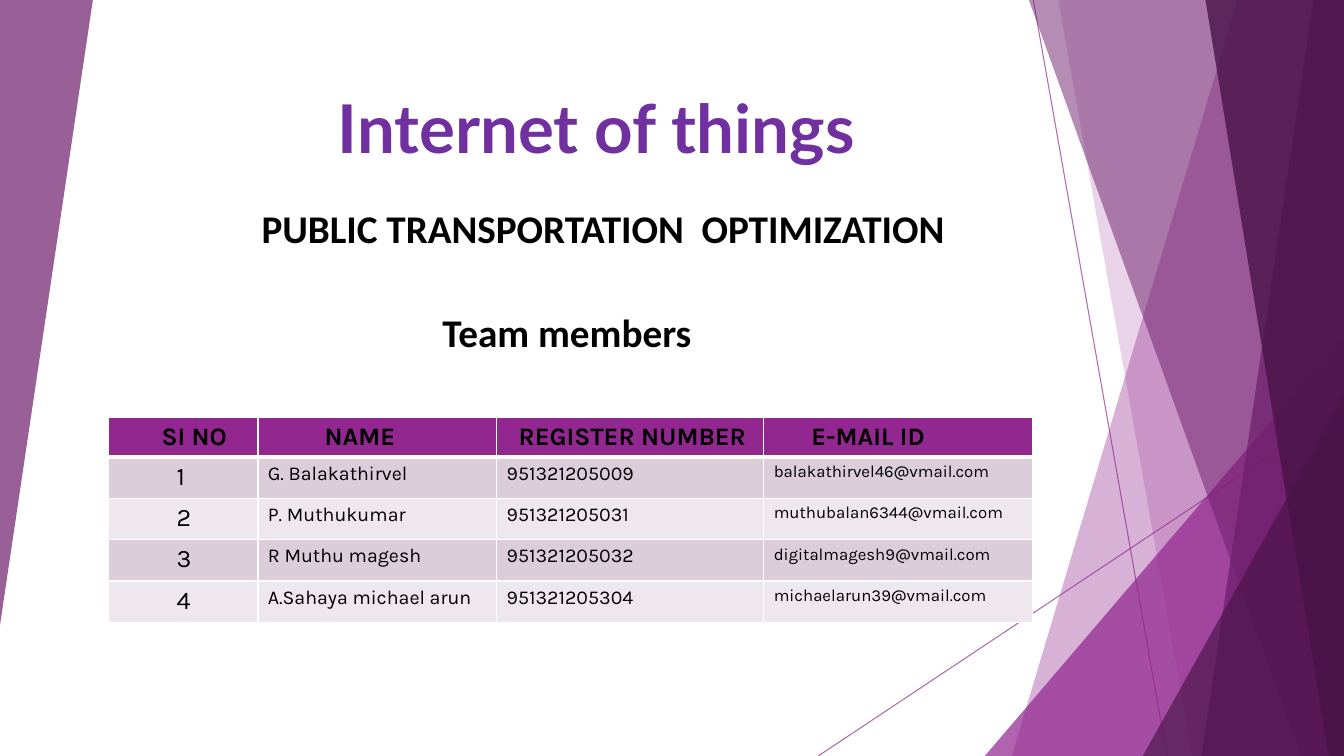
from dataclasses import dataclass

from lxml import etree
from pptx import Presentation
from pptx.dml.color import RGBColor
from pptx.enum.shapes import MSO_CONNECTOR, MSO_SHAPE
from pptx.enum.text import MSO_ANCHOR, MSO_AUTO_SIZE, PP_ALIGN
from pptx.oxml.ns import qn
from pptx.slide import Slide
from pptx.text.text import TextFrame
from pptx.util import Cm, Pt

STRAIGHT = MSO_CONNECTOR.STRAIGHT
TRIANGLE = MSO_SHAPE.ISOSCELES_TRIANGLE
LEFT, RIGHT = PP_ALIGN.LEFT, PP_ALIGN.RIGHT
TOP, BOTTOM = MSO_ANCHOR.TOP, MSO_ANCHOR.BOTTOM
NO_AUTOFIT = MSO_AUTO_SIZE.NONE

PURPLE = RGBColor(0x92, 0x27, 0x8F)
PLUM = RGBColor(0x6D, 0x1D, 0x6B)
DARK_PLUM = RGBColor(0x49, 0x14, 0x47)
VIOLET = RGBColor(0x70, 0x30, 0xA0)
BLACK = RGBColor(0, 0, 0)
ROW_FILLS = (RGBColor(0xDC, 0xCD, 0xDB), RGBColor(0xEE, 0xE8, 0xEE))

WIDTH, HEIGHT = 33.87, 19.05


@dataclass(frozen=True)
class Ray:
    x1: float
    y1: float
    x2: float
    y2: float


@dataclass(frozen=True)
class Strip:
    top_x: float
    bottom_x: float
    color: RGBColor
    opacity: int


@dataclass(frozen=True)
class Corner:
    left: float
    top: float
    width: float
    height: float
    color: RGBColor
    opacity: int
    rotation: int = 0


@dataclass(frozen=True)
class Column:
    heading: str
    width: float
    heading_indent: float
    entry_indent: float
    entry_size: int


RAYS = (Ray(26.04, 0, 29.41, HEIGHT), Ray(WIDTH, 10.24, 20.62, HEIGHT))
FACETS = (
    Strip(31.19, 25.5, PURPLE, 36),
    Strip(26.67, 30.05, PURPLE, 20),
    Corner(24.82, 8.46, 9.05, 10.59, PURPLE, 72),
    Strip(25.93, 32.79, PLUM, 50),
    Strip(33.1, 30.28, PLUM, 70),
    Strip(30.38, 33.48, DARK_PLUM, 80),
    Corner(28.8, 9.98, 5.07, 9.07, DARK_PLUM, 66),
    Corner(0, 0, 2.34, 15.75, PLUM, 70, rotation=180),
)
COLUMNS = (
    Column("SI NO", 3.78, 1.35, 1.73, 18),
    Column("NAME", 6.02, 1.68, 0.25, 14),
    Column("REGISTER NUMBER", 6.73, 0.55, 0.25, 14),
    Column("E-MAIL ID", 6.78, 1.2, 0.25, 12),
)
MEMBERS = (
    ("1", "G. Balakathirvel", "951321205009", "balakathirvel46@vmail.com"),
    ("2", "P. Muthukumar", "951321205031", "muthubalan6344@vmail.com"),
    ("3", "R Muthu magesh", "951321205032", "digitalmagesh9@vmail.com"),
    ("4", "A.Sahaya michael arun", "951321205304", "michaelarun39@vmail.com"),
)


def write(frame: TextFrame, text: str, *, font: str = "Karla", size: int = 18,
          color: RGBColor = BLACK, bold: bool = False,
          align: PP_ALIGN = LEFT, space_before: int = 0) -> None:
    paragraph = frame.paragraphs[0]
    paragraph.alignment = align
    paragraph.space_before = Pt(space_before)
    run = paragraph.add_run()
    run.text = text
    run.font.name = font
    run.font.size = Pt(size)
    run.font.color.rgb = color
    run.font.bold = bold


def place(shape, left: float, top: float, width: float, height: float) -> None:
    shape.left, shape.top = Cm(left), Cm(top)
    shape.width, shape.height = Cm(width), Cm(height)


def set_opacity(shape, percent: int) -> None:
    color = shape._element.spPr.find(".//" + qn("a:srgbClr"))
    etree.SubElement(color, qn("a:alpha"), val=str(percent * 1000))


def draw_ray(slide: Slide, ray: Ray) -> None:
    line = slide.shapes.add_connector(
        STRAIGHT, Cm(ray.x1), Cm(ray.y1), Cm(ray.x2), Cm(ray.y2))
    line.line.color.rgb = PURPLE
    line.line.width = Pt(0.75)
    set_opacity(line, 70)
    etree.SubElement(line._element.spPr, qn("a:effectLst"))


def draw_facet(slide: Slide, facet: Strip | Corner) -> None:
    if isinstance(facet, Strip):
        outline = slide.shapes.build_freeform(Cm(facet.top_x), 0)
        outline.add_line_segments([
            (Cm(WIDTH), 0), (Cm(WIDTH), Cm(HEIGHT)),
            (Cm(facet.bottom_x), Cm(HEIGHT))], close=True)
        shape = outline.convert_to_shape()
    else:
        shape = slide.shapes.add_shape(
            TRIANGLE, Cm(facet.left), Cm(facet.top),
            Cm(facet.width), Cm(facet.height))
        shape.adjustments[0] = 1
        shape.rotation = facet.rotation
    shape.shadow.inherit = False
    shape.fill.solid()
    shape.fill.fore_color.rgb = facet.color
    shape.line.fill.background()
    set_opacity(shape, facet.opacity)


def format_cell(cell, fill: RGBColor, indent: float, bottom_border: float) -> None:
    properties = cell._tc.get_or_add_tcPr()
    widths = {"lnL": 1, "lnR": 1, "lnT": 1, "lnB": bottom_border}
    for side, width in widths.items():
        border = etree.SubElement(properties, qn(f"a:{side}"), w=str(Pt(width)))
        paint = etree.SubElement(border, qn("a:solidFill"))
        etree.SubElement(paint, qn("a:srgbClr"), val="FFFFFF")
    cell.fill.solid()
    cell.fill.fore_color.rgb = fill
    cell.margin_left = Cm(indent)


def draw_members(slide: Slide) -> None:
    members = slide.shapes.add_table(
        len(MEMBERS) + 1, len(COLUMNS), Cm(2.72), Cm(10.52),
        Cm(sum(column.width for column in COLUMNS)), Cm(5.13)).table
    for row in members.rows:
        row.height = Cm(1.04)
    members.rows[0].height = Cm(0.97)
    for index, column in enumerate(COLUMNS):
        members.columns[index].width = Cm(column.width)
        heading = members.cell(0, index)
        format_cell(heading, PURPLE, column.heading_indent, 3)
        write(heading.text_frame, column.heading, bold=True)
        for number, member in enumerate(MEMBERS):
            entry = members.cell(number + 1, index)
            format_cell(entry, ROW_FILLS[number % 2], column.entry_indent, 1)
            write(entry.text_frame, member[index], size=column.entry_size)


def draw_headings(slide: Slide) -> None:
    title, subtitle = slide.shapes.title, slide.placeholders[1]
    place(title, 1.09, 0, 21.21, 4.34)
    place(subtitle, 2.72, 5.03, 21.56, 1.45)
    team = slide.shapes.add_textbox(Cm(10.9), Cm(7.65), Cm(16.97), Cm(1.45))
    for heading, anchor in ((title, BOTTOM), (subtitle, TOP), (team, TOP)):
        frame = heading.text_frame
        frame.word_wrap = True
        frame.auto_size = NO_AUTOFIT
        frame.vertical_anchor = anchor
    title.text_frame.margin_right = Cm(0.76)
    subtitle.text_frame.margin_right = Cm(0.48)
    write(title.text_frame, "Internet of things", font="Lato", size=48,
          color=VIOLET, bold=True, align=RIGHT)
    write(subtitle.text_frame, "PUBLIC TRANSPORTATION  OPTIMIZATION",
          font="Calibri", size=28, bold=True, align=RIGHT, space_before=10)
    write(team.text_frame, "Team members", font="Calibri", size=28, bold=True)


def main() -> None:
    deck = Presentation()
    deck.slide_width, deck.slide_height = Cm(WIDTH), Cm(HEIGHT)
    slide = deck.slides.add_slide(deck.slide_layouts[0])
    for ray in RAYS:
        draw_ray(slide, ray)
    for facet in FACETS:
        draw_facet(slide, facet)
    draw_headings(slide)
    draw_members(slide)
    deck.save("out.pptx")


if __name__ == "__main__":
    main()
